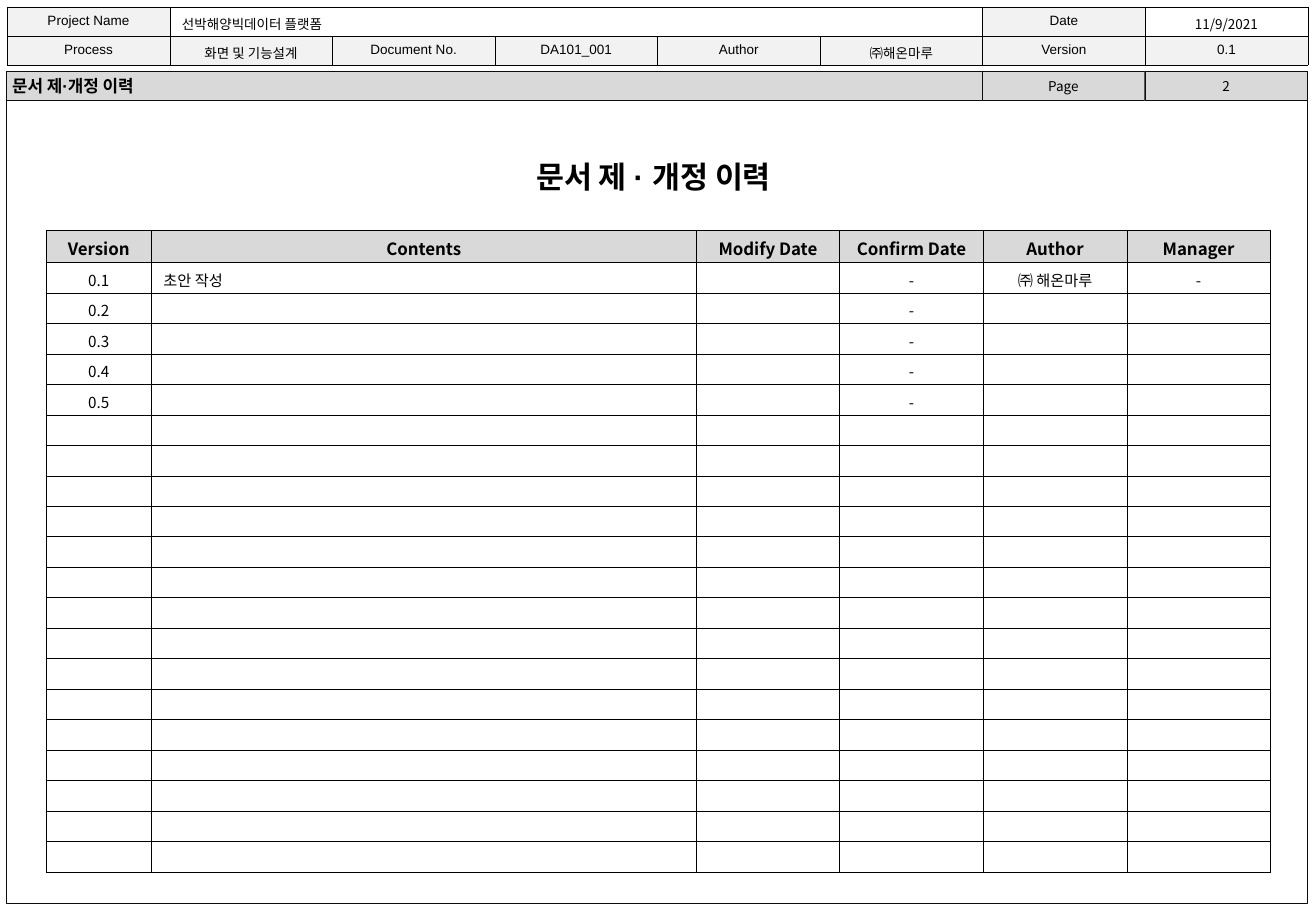
from lxml import etree
from pptx import Presentation
from pptx.dml.color import RGBColor
from pptx.enum import shapes, text
from pptx.oxml import ns
from pptx.util import Pt

BLACK = RGBColor(0x00, 0x00, 0x00)
FRAME_LINE = RGBColor(0x0D, 0x0D, 0x0D)
HEADING_GRAY = RGBColor(0xD9, 0xD9, 0xD9)
LABEL_GRAY = RGBColor(0xF2, 0xF2, 0xF2)
ARIAL = "Arial"
NOTO = "Noto Sans CJK KR"
CENTER, LEFT = text.PP_ALIGN.CENTER, text.PP_ALIGN.LEFT


def write(paragraph, words, size, latin=NOTO, bold=False, align=CENTER):
    """Add one run of words to a paragraph, or size the paragraph if empty."""
    paragraph.alignment = align
    if not words:
        etree.SubElement(paragraph._p, ns.qn("a:endParaRPr"), sz=str(size * 100))
        return
    run = paragraph.add_run()
    run.text = words
    run.font.size = Pt(size)
    run.font.bold = bold
    run.font.color.rgb = BLACK
    run.font.name = latin
    etree.SubElement(run._r.get_or_add_rPr(), ns.qn("a:ea"), typeface=NOTO)


def style_cell(cell, fill=None):
    """Give a cell thin black borders, its insets and its fill."""
    cell.margin_left = cell.margin_right = Pt(7.2)
    cell.margin_top, cell.margin_bottom = Pt(3.6), Pt(0)
    cell.vertical_anchor = text.MSO_ANCHOR.TOP
    properties = cell._tc.get_or_add_tcPr()
    for side in ("a:lnL", "a:lnR", "a:lnT", "a:lnB"):
        border = etree.SubElement(properties, ns.qn(side), w=str(Pt(0.25)))
        paint = etree.SubElement(border, ns.qn("a:solidFill"))
        etree.SubElement(paint, ns.qn("a:srgbClr"), val=str(BLACK))
    if fill is None:
        cell.fill.background()
    else:
        cell.fill.solid()
        cell.fill.fore_color.rgb = fill


def add_grid(slide, left, top, widths, heights):
    """Add a plain table with the given column widths and row heights."""
    grid = slide.shapes.add_table(
        len(heights), len(widths), Pt(left), Pt(top), Pt(sum(widths)), Pt(sum(heights))
    ).table
    grid.first_row = grid.horz_banding = False
    for column, width in zip(grid.columns, widths):
        column.width = Pt(width)
    for row, height in zip(grid.rows, heights):
        row.height = Pt(height)
    return grid


def add_panel(slide, left, top, width, height, fill=None):
    """Add a thinly outlined rectangle, filled or clear."""
    panel = slide.shapes.add_shape(
        shapes.MSO_SHAPE.RECTANGLE, Pt(left), Pt(top), Pt(width), Pt(height)
    )
    panel.shadow.inherit = False
    panel.line.color.rgb = FRAME_LINE
    panel.line.width = Pt(0.25)
    if fill is None:
        panel.fill.background()
    else:
        panel.fill.solid()
        panel.fill.fore_color.rgb = fill
    panel.text_frame.vertical_anchor = text.MSO_ANCHOR.MIDDLE
    return panel


def add_document_header(slide, left, top, width, height):
    """Place the two-row block of project details."""
    details = [
        ["Project Name", "선박해양빅데이터 플랫폼", "", "", "", "", "Date", "11/9/2021"],
        ["Process", "화면 및 기능설계", "Document No.", "DA101_001",
         "Author", "㈜해온마루", "Version", "0.1"],
    ]
    grid = add_grid(slide, left, top, [width / 8] * 8, [height / 2] * 2)
    grid.cell(0, 1).merge(grid.cell(0, 5))
    for r, row in enumerate(details):
        for c, words in enumerate(row):
            cell = grid.cell(r, c)
            is_label = r == 1 or c in (0, 6)
            style_cell(cell, LABEL_GRAY if is_label else None)
            write(cell.text_frame.paragraphs[0], words, 8,
                  latin=NOTO if (r, c) == (0, 7) else ARIAL,
                  align=LEFT if (r, c) == (0, 1) else CENTER)


def add_page_bar(slide, left, top, width, height):
    """Place the gray bar with the section name and the page number."""
    bar = add_panel(slide, left, top, width, height, HEADING_GRAY)
    frame = bar.text_frame
    frame.margin_left = Pt(3.3)
    write(frame.paragraphs[0], "문서 제·개정 이력", 10, ARIAL, True, LEFT)
    part = width / 8
    for index, words in ((6, "Page"), (7, "2")):
        box = add_panel(slide, left + index * part, top, part, height, HEADING_GRAY)
        write(box.text_frame.paragraphs[0], words, 8)


def add_heading(slide, left, top, width, height):
    """Place the large centred heading."""
    heading = slide.shapes.add_textbox(Pt(left), Pt(top), Pt(width), Pt(height))
    heading.text_frame.word_wrap = True
    paragraph = heading.text_frame.paragraphs[0]
    paragraph.line_spacing = 1.5
    write(paragraph, "문서 제 · 개정 이력", 18, ARIAL, True)


def add_revision_table(slide, left, top, width, height):
    """Place the revision history with its heading row and twenty entries."""
    titles = ["Version", "Contents", "Modify Date", "Confirm Date", "Author", "Manager"]
    entries = [["0.1", "초안 작성", "", "-", "㈜ 해온마루", "-"]]
    entries += [[f"0.{n}", "", "", "-", "", ""] for n in range(2, 6)]
    entries += [[""] * 6 for _ in range(15)]
    version_width, date_width, title_height = 62.3, 85.1, 19.2
    contents_width = width - version_width - 4 * date_width
    entry_height = (height - title_height) / len(entries)
    grid = add_grid(slide, left, top,
                    [version_width, contents_width] + [date_width] * 4,
                    [title_height] + [entry_height] * len(entries))
    for r, row in enumerate([titles] + entries):
        is_title = r == 0
        for c, words in enumerate(row):
            cell = grid.cell(r, c)
            style_cell(cell, HEADING_GRAY if is_title else None)
            write(cell.text_frame.paragraphs[0], words, 10 if is_title else 9,
                  bold=is_title, align=LEFT if c == 1 and not is_title else CENTER)


def main():
    """Build the revision history slide and save it."""
    deck = Presentation()
    deck.slide_width, deck.slide_height = Pt(780), Pt(540)
    slide = deck.slides.add_slide(deck.slide_layouts[6])
    add_panel(slide, 3.9, 42.5, 771, 493)
    add_document_header(slide, 4.3, 4.4, 771, 34.2)
    add_page_bar(slide, 3.9, 42.5, 771, 17.2)
    add_heading(slide, 109.4, 79.2, 556, 36)
    add_revision_table(slide, 27.4, 136.4, 725.6, 380.4)
    deck.save("out.pptx")


if __name__ == "__main__":
    main()
